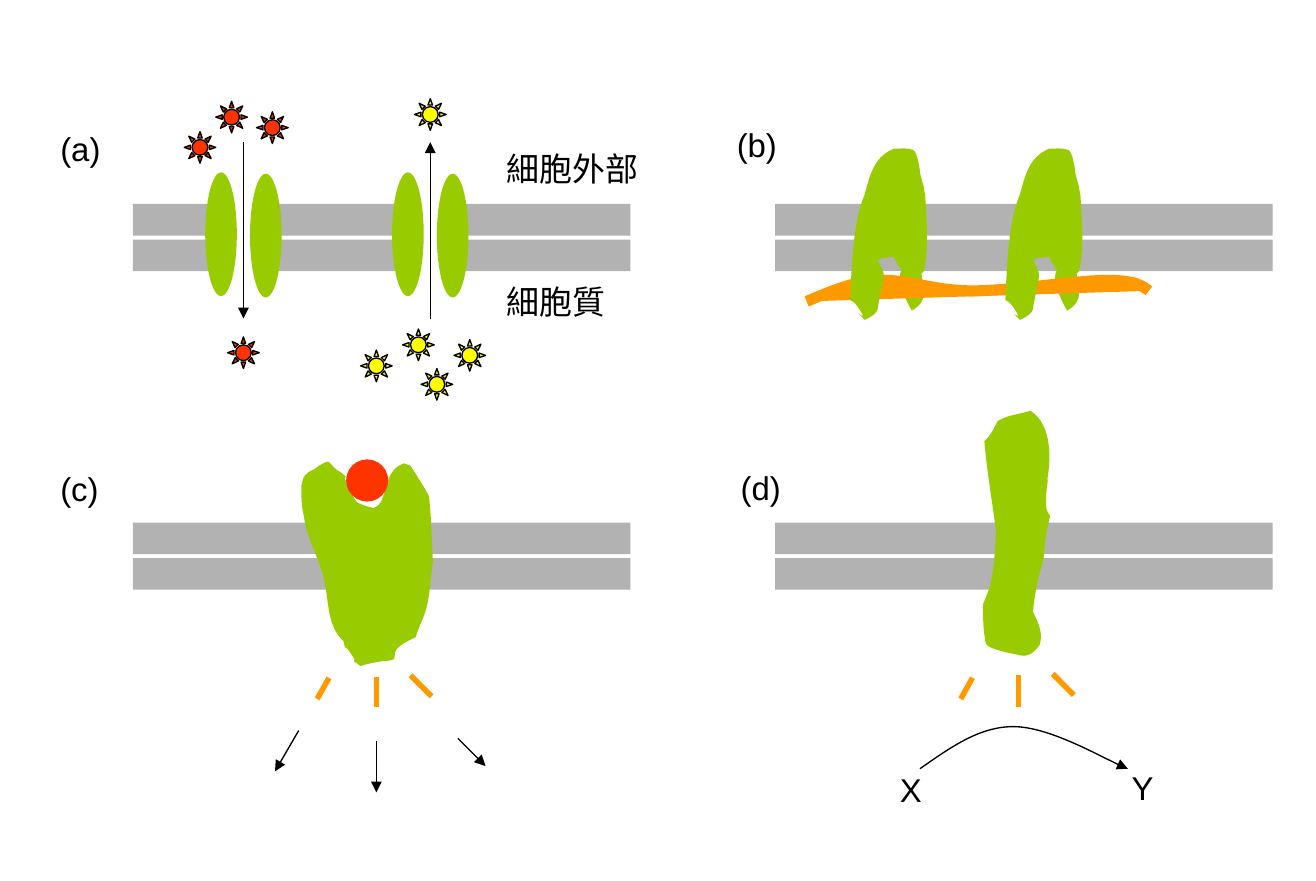
from pptx import Presentation
from pptx import util as u
from pptx.dml.color import RGBColor
from pptx.enum import shapes as kinds, text
from pptx.oxml.ns import qn
from lxml import etree

PX = 9144  # EMU in one px, 100 px to the inch
COLORS = {"membrane": "B2B2B2", "protein": "99CC00", "signal": "FF9900",
          "red": "FF3300", "yellow": "FFFF00", "ink": "000000"}
RECT = kinds.MSO_SHAPE.RECTANGLE
OVAL = kinds.MSO_SHAPE.OVAL
SUN = kinds.MSO_SHAPE.SUN

prs = Presentation()
prs.slide_width = u.Inches(10)
prs.slide_height = u.Cm(17)
slide = prs.slides.add_slide(prs.slide_layouts[6])
items = slide.shapes


def paint(shape, fill=None, line=None, width=0.75, arrow=False):
    """Set fill and outline, add an arrowhead if wanted, drop the shadow."""
    if fill:
        shape.fill.solid()
        shape.fill.fore_color.rgb = RGBColor.from_string(COLORS[fill])
    elif hasattr(shape, "fill"):
        shape.fill.background()
    if line:
        shape.line.color.rgb = RGBColor.from_string(COLORS[line])
        shape.line.width = u.Pt(width)
    else:
        shape.line.fill.background()
    properties = shape.element.spPr
    if arrow:
        etree.SubElement(properties.find(qn("a:ln")), qn("a:tailEnd"), type="triangle")
    etree.SubElement(properties, qn("a:effectLst"))


def curve(start, segments, dx=0, close=True):
    """Draw cubic curves; each segment is two control points and an end."""
    points = [(s[i] + dx, s[i + 1]) for s in segments for i in (0, 2, 4)]
    builder = items.build_freeform(start[0] + dx, start[1], scale=PX)
    builder.add_line_segments(points, close=close)
    shape = builder.convert_to_shape()
    steps = list(shape.element.iter(qn("a:lnTo")))
    for i in range(0, len(steps), 3):
        bezier = etree.Element(qn("a:cubicBezTo"))
        steps[i].addprevious(bezier)
        for step in steps[i:i + 3]:
            bezier.append(step[0])
            step.getparent().remove(step)
    return shape


# Membranes: two layers each, broken by the channels in (a)
for left, top, width in [(101, 155, 71), (195, 155, 110), (345, 155, 134),
                         (589, 155, 378), (101, 397, 378), (589, 397, 378)]:
    for layer in (0, 27):
        paint(items.add_shape(RECT, left * PX, (top + layer) * PX, width * PX, 24 * PX),
              "membrane")

# (a) Channel proteins and transported molecules
for channel in (156, 298):
    for dx, top in ((0, 131), (34, 132)):
        paint(items.add_shape(OVAL, (channel + dx) * PX, top * PX, 24 * PX, 94 * PX),
              "protein")
molecules = {"red": [(195, 85), (140, 100), (164, 77), (173, 256)],
             "yellow": [(315, 75), (345, 258), (306, 250), (274, 266), (320, 280)]}
for color, places in molecules.items():
    for left, top in places:
        paint(items.add_shape(SUN, left * PX, top * PX, 24 * PX, 24 * PX), color, "ink")

# (b) Anchor proteins: rear legs, filament, then bodies in front
rear_leg = [(698, 206, 696, 204, 693, 203), (675, 201, 688, 228, 693, 236),
            (706, 228, 702, 220, 700, 207)]
filament = [(630, 222, 647, 214, 668, 213), (689, 212, 710, 221, 739, 221),
            (768, 221, 819, 213, 841, 213), (863, 213, 868, 217, 873, 221)]
anchor_body = [
    (674, 211, 672, 205, 667, 234), (667, 239, 657, 243, 657, 243),
    (644, 230, 664, 250, 651, 232), (650, 230, 648, 229, 646, 228),
    (647, 206, 648, 168, 657, 148), (662, 128, 666, 119, 679, 113),
    (684, 113, 689, 112, 694, 114), (697, 116, 699, 128, 699, 131),
    (700, 135, 701, 139, 702, 142), (702, 144, 703, 148, 703, 148),
    (704, 167, 706, 187, 702, 206), (701, 209, 694, 209, 694, 209),
    (685, 206, 684, 205, 679, 195), (669, 197, 673, 194, 667, 198)]
for dx in (0, 118):
    paint(curve((700, 207), rear_leg, dx), "protein")
paint(curve((613, 229), filament, close=False), "signal", "signal", 6)
for dx in (0, 118):
    paint(curve((667, 198), anchor_body, dx), "protein")

# (c) Receptor with its ligand
receptor = [
    (264, 364, 263, 361, 256, 357), (247, 349, 252, 349, 242, 354),
    (240, 357, 235, 357, 232, 361), (230, 363, 230, 366, 229, 369),
    (229, 377, 229, 385, 231, 392), (233, 410, 244, 426, 247, 444),
    (250, 459, 249, 476, 261, 487), (264, 499, 259, 485, 267, 497),
    (274, 507, 263, 498, 274, 506), (280, 504, 286, 503, 292, 502),
    (295, 502, 297, 502, 299, 501), (301, 499, 299, 496, 301, 494),
    (303, 490, 312, 486, 316, 484), (318, 476, 322, 470, 324, 462),
    (327, 451, 327, 439, 329, 427), (328, 411, 328, 394, 326, 377),
    (326, 376, 313, 355, 312, 354), (311, 353, 309, 353, 307, 352),
    (293, 357, 295, 371, 289, 382), (288, 384, 286, 385, 284, 386),
    (280, 385, 276, 384, 272, 382), (269, 380, 262, 366, 262, 362)]
paint(curve((271, 369), receptor, close=False), "protein")
paint(items.add_shape(OVAL, 263 * PX, 349 * PX, 32 * PX, 32 * PX), "red")

# (d) Enzyme and the reaction from X to Y
enzyme = [
    (799, 350, 800, 323, 783, 312), (774, 315, 766, 315, 758, 320),
    (755, 326, 753, 331, 748, 335), (750, 358, 754, 381, 757, 404),
    (756, 416, 756, 429, 753, 442), (752, 448, 747, 459, 747, 459),
    (747, 466, 747, 474, 748, 482), (749, 485, 748, 488, 750, 490),
    (752, 493, 770, 497, 772, 497), (780, 500, 785, 497, 790, 490),
    (793, 481, 789, 473, 785, 465), (786, 452, 789, 438, 793, 425),
    (794, 410, 795, 405, 798, 392), (797, 390, 795, 388, 795, 385),
    (794, 370, 799, 355, 795, 369)]
paint(curve((795, 369), enzyme), "protein")
reaction = [(722, 568, 744, 552, 770, 552), (796, 552, 844, 579, 857, 584)]
paint(curve((699, 584), reaction, close=False), line="ink", arrow=True)

# Straight lines: transport and signal arrows, activation rays
arrows = [(185, 108, 185, 242), (327, 242, 327, 108),
          (286, 563, 286, 602), (227, 555, 209, 586), (348, 561, 369, 582)]
rays = [(250, 515, 241, 531), (286, 514, 286, 537), (312, 513, 328, 529),
        (739, 515, 730, 531), (774, 513, 774, 537), (800, 512, 816, 528)]
for lines, look in ((arrows, {"line": "ink", "arrow": True}),
                    (rays, {"line": "signal", "width": 3})):
    for ends in lines:
        paint(items.add_connector(kinds.MSO_CONNECTOR.STRAIGHT, *(n * PX for n in ends)),
              **look)

# Labels
for label, left, top, width in [
        ("X", 674, 580, 36), ("Y", 850, 578, 36),
        ("細胞外部", 375, 108, 120), ("細胞質", 375, 209, 95),
        ("(a)", 36, 93, 51), ("(b)", 550, 90, 51),
        ("(c)", 36, 351, 50), ("(d)", 553, 350, 51)]:
    frame = items.add_textbox(left * PX, top * PX, width * PX, 40 * PX).text_frame
    frame.word_wrap = False
    frame.auto_size = text.MSO_AUTO_SIZE.SHAPE_TO_FIT_TEXT
    frame.text = label
    font = frame.paragraphs[0].runs[0].font
    for name, value in {"name": "Arial", "size": u.Pt(18)}.items():
        setattr(font, name, value)
    font.color.rgb = RGBColor.from_string(COLORS["ink"])

prs.save("out.pptx")
